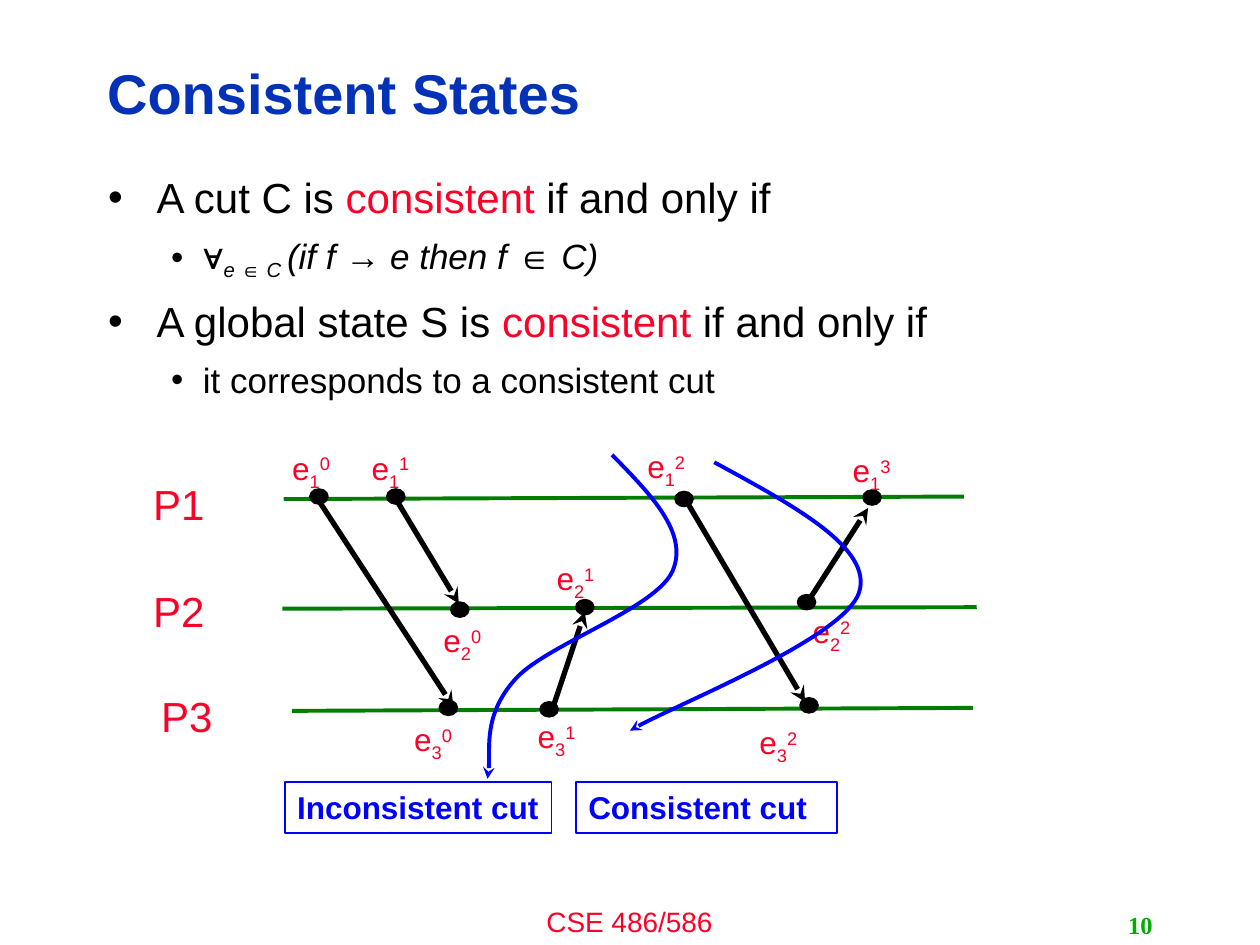
import lxml.etree
import pptx
import pptx.dml.color
import pptx.enum.shapes
import pptx.enum.text
import pptx.oxml
import pptx.oxml.ns
import pptx.util
from dataclasses import dataclass

Cm, Pt, qn = pptx.util.Cm, pptx.util.Pt, pptx.oxml.ns.qn
ALIGN, ANCHOR = pptx.enum.text.PP_ALIGN, pptx.enum.text.MSO_ANCHOR
SHAPE = pptx.enum.shapes.MSO_SHAPE


@dataclass(frozen=True)
class Theme:
    font: str = "Arial"
    number_font: str = "Times New Roman"
    title: str = "0332B7"
    red: str = "FC0128"
    black: str = "000000"
    timeline: str = "037C03"
    cut: str = "0000FF"
    number: str = "00AE00"
    title_size: int = 32
    body_sizes: tuple = (24, 20)
    process_size: int = 24
    label_size: int = 18
    footer_size: int = 16
    number_size: int = 14


THEME = Theme()

# Content: all positions in centimetres
# Bullets: level, then runs of (text, red, italic, baseline)
BULLETS = [
    (0, [(" A cut C is ", False, False, 0), ("consistent", True, False, 0),
         (" if and only if", False, False, 0)]),
    (1, [("∀", False, True, 0), ("e ∈ C ", False, True, -25),
         ("(if f → e then f ∈ C)", False, True, 0)]),
    (0, [(" A global state S is ", False, False, 0), ("consistent ", True, False, 0),
         ("if and only if", False, False, 0)]),
    (1, [("it corresponds to a consistent cut", False, False, 0)]),
]
INDENTS = [(0.79, -0.79), (1.91, -0.64)]
SPACE_BEFORE = (8, 7)

# Processes: name, label corner, timeline start, timeline end
PROCESSES = [
    ("P1", (2.84, 9.53), (5.72, 10.06), (19.43, 10.01)),
    ("P2", (2.84, 11.68), (5.69, 12.27), (19.69, 12.24)),
    ("P3", (3.0, 13.79), (5.89, 14.33), (19.61, 14.27)),
]
# Events: process, index, dot centre, label corner
EVENTS = [
    ("1", "0", (6.43, 10.01), (5.64, 8.92)),
    ("1", "1", (7.98, 10.01), (7.24, 8.92)),
    ("1", "2", (13.79, 10.06), (12.8, 8.89)),
    ("1", "3", (17.58, 10.03), (16.94, 8.97)),
    ("2", "0", (9.27, 12.29), (8.69, 12.4)),
    ("2", "1", (11.79, 12.24), (10.97, 11.15)),
    ("2", "2", (16.26, 12.14), (16.13, 12.22)),
    ("3", "0", (9.04, 14.27), (8.1, 14.4)),
    ("3", "1", (11.07, 14.3), (10.59, 14.33)),
    ("3", "2", (16.31, 14.22), (15.06, 14.45)),
]
MESSAGES = [
    ((6.45, 10.13), (9.14, 14.25)),
    ((7.98, 10.06), (9.25, 12.17)),
    ((11.15, 14.25), (11.79, 12.34)),
    ((16.26, 12.17), (17.5, 10.24)),
    ((13.89, 10.19), (16.23, 14.15)),
]
# Cuts: caption, caption box, Bezier points (start, then two controls and an end each)
CUTS = [
    ("Inconsistent cut", (5.74, 15.77, 5.38, 1.02),
     [(12.34, 9.17), (13.11, 9.96), (13.89, 10.74), (13.56, 11.51),
      (13.23, 12.27), (11.0, 13.0), (10.39, 13.69),
      (9.75, 14.4), (9.91, 15.37), (9.83, 15.7)]),
    ("Consistent cut", (11.61, 15.77, 5.26, 1.02),
     [(14.4, 9.32), (16.0, 10.19), (17.6, 11.05), (17.32, 11.94),
      (17.04, 12.83), (13.46, 14.27), (12.7, 14.73)]),
]
DOT = (0.36, 0.3)
EVENT_LABEL = (1.55, 0.94)
PROCESS_LABEL = (3.2, 1.17)

deck = pptx.Presentation()
deck.slide_width, deck.slide_height = Cm(25.4), Cm(19.05)
slide = deck.slides.add_slide(deck.slide_layouts[6])


def rgb(color):
    return pptx.dml.color.RGBColor.from_string(color)


def cm(values):
    return [Cm(value) for value in values]


def add_run(paragraph, text, size, color, bold=False, italic=False,
            baseline=0, font=THEME.font):
    run = paragraph.add_run()
    run.text = text
    run.font.name, run.font.size = font, Pt(size)
    run.font.bold, run.font.italic = bold, italic
    run.font.color.rgb = rgb(color)
    if baseline:
        run.font._element.set("baseline", str(baseline * 1000))


def add_text_box(box, anchor=ANCHOR.TOP, align=ALIGN.LEFT, wrap=True):
    frame = slide.shapes.add_textbox(*cm(box)).text_frame
    frame.word_wrap, frame.vertical_anchor = wrap, anchor
    frame.paragraphs[0].alignment = align
    return frame


def add_bullet(paragraph, level):
    margin, hanging = INDENTS[level]
    props = paragraph._p.get_or_add_pPr()
    props.set("marL", str(Cm(margin)))
    props.set("indent", str(Cm(hanging)))
    color = lxml.etree.SubElement(props, qn("a:buClr"))
    lxml.etree.SubElement(color, qn("a:srgbClr"), val=THEME.black)
    lxml.etree.SubElement(props, qn("a:buFont"), typeface=THEME.font)
    lxml.etree.SubElement(props, qn("a:buChar"), char="•")
    paragraph.level = level


def style_line(line, color, width, arrow=False):
    line.color.rgb = rgb(color)
    line.width = Pt(width)
    if arrow:
        lxml.etree.SubElement(line._get_or_add_ln(), qn("a:tailEnd"), type="stealth")


def add_line(start, end, color, width, arrow=False):
    line = slide.shapes.add_connector(
        pptx.enum.shapes.MSO_CONNECTOR.STRAIGHT, *cm(start + end))
    style_line(line.line, color, width, arrow)
    lxml.etree.SubElement(line._element.spPr, qn("a:effectLst"))


def add_curve(points):
    start, *rest = [tuple(cm(point)) for point in points]
    builder = slide.shapes.build_freeform(*start)
    builder.add_line_segments(rest, close=False)
    curve = builder.convert_to_shape()
    curve.shadow.inherit = False
    curve.fill.background()
    style_line(curve.line, THEME.cut, 2.25, arrow=True)
    # Each three straight segments become one cubic segment
    segments = list(curve._element.iter(qn("a:lnTo")))
    for i in range(0, len(segments), 3):
        cubic = lxml.etree.Element(qn("a:cubicBezTo"))
        segments[i].addprevious(cubic)
        for segment in segments[i:i + 3]:
            cubic.append(segment[0])
            segment.getparent().remove(segment)


# Footer and slide number
footer = add_text_box((8.46, 18.11, 8.46, 0.94), align=ALIGN.CENTER)
add_run(footer.paragraphs[0], "CSE 486/586", THEME.footer_size, THEME.red)
number = add_text_box((18.21, 18.24, 5.28, 0.81), ANCHOR.MIDDLE, ALIGN.RIGHT, wrap=False)
add_run(number.paragraphs[0], "10", THEME.number_size, THEME.number, bold=True,
        font=THEME.number_font)

# Title
title = add_text_box((1.91, 0.91, 20.27, 2.06), ANCHOR.MIDDLE)
title.paragraphs[0].line_spacing = 0.9
add_run(title.paragraphs[0], "Consistent States", THEME.title_size, THEME.title, bold=True)

# Definitions
body = add_text_box((1.93, 3.33, 21.34, 13.69))
for i, (level, runs) in enumerate(BULLETS):
    paragraph = body.add_paragraph() if i else body.paragraphs[0]
    add_bullet(paragraph, level)
    paragraph.space_before = Pt(SPACE_BEFORE[level] if i else 0)
    for text, red, italic, baseline in runs:
        add_run(paragraph, text, THEME.body_sizes[level],
                THEME.red if red else THEME.black, italic=italic, baseline=baseline)

# Process timelines
for name, corner, start, end in PROCESSES:
    add_line(start, end, THEME.timeline, 2.25)
    label = add_text_box(corner + PROCESS_LABEL)
    add_run(label.paragraphs[0], name, THEME.process_size, THEME.red)

# Events and messages
for process, index, (x, y), corner in EVENTS:
    dot = slide.shapes.add_shape(
        SHAPE.OVAL, *cm((x - DOT[0] / 2, y - DOT[1] / 2) + DOT))
    dot.shadow.inherit = False
    dot.fill.solid()
    dot.fill.fore_color.rgb = rgb(THEME.black)
    style_line(dot.line, THEME.black, 1)
    label = add_text_box(corner + EVENT_LABEL)
    for text, baseline in (("e", 0), (process, -25), (index, 30)):
        add_run(label.paragraphs[0], text, THEME.label_size, THEME.red, baseline=baseline)
for start, end in MESSAGES:
    add_line(start, end, THEME.black, 3, arrow=True)

# Cuts and their captions
for caption, box, points in CUTS:
    add_curve(points)
    frame = slide.shapes.add_shape(SHAPE.RECTANGLE, *cm(box))
    frame.shadow.inherit = False
    frame.fill.background()
    style_line(frame.line, THEME.cut, 1)
    frame.text_frame.word_wrap = True
    frame.text_frame.vertical_anchor = ANCHOR.TOP
    frame.text_frame.paragraphs[0].alignment = ALIGN.LEFT
    add_run(frame.text_frame.paragraphs[0], caption, THEME.label_size, THEME.cut, bold=True)

deck.save("out.pptx")
